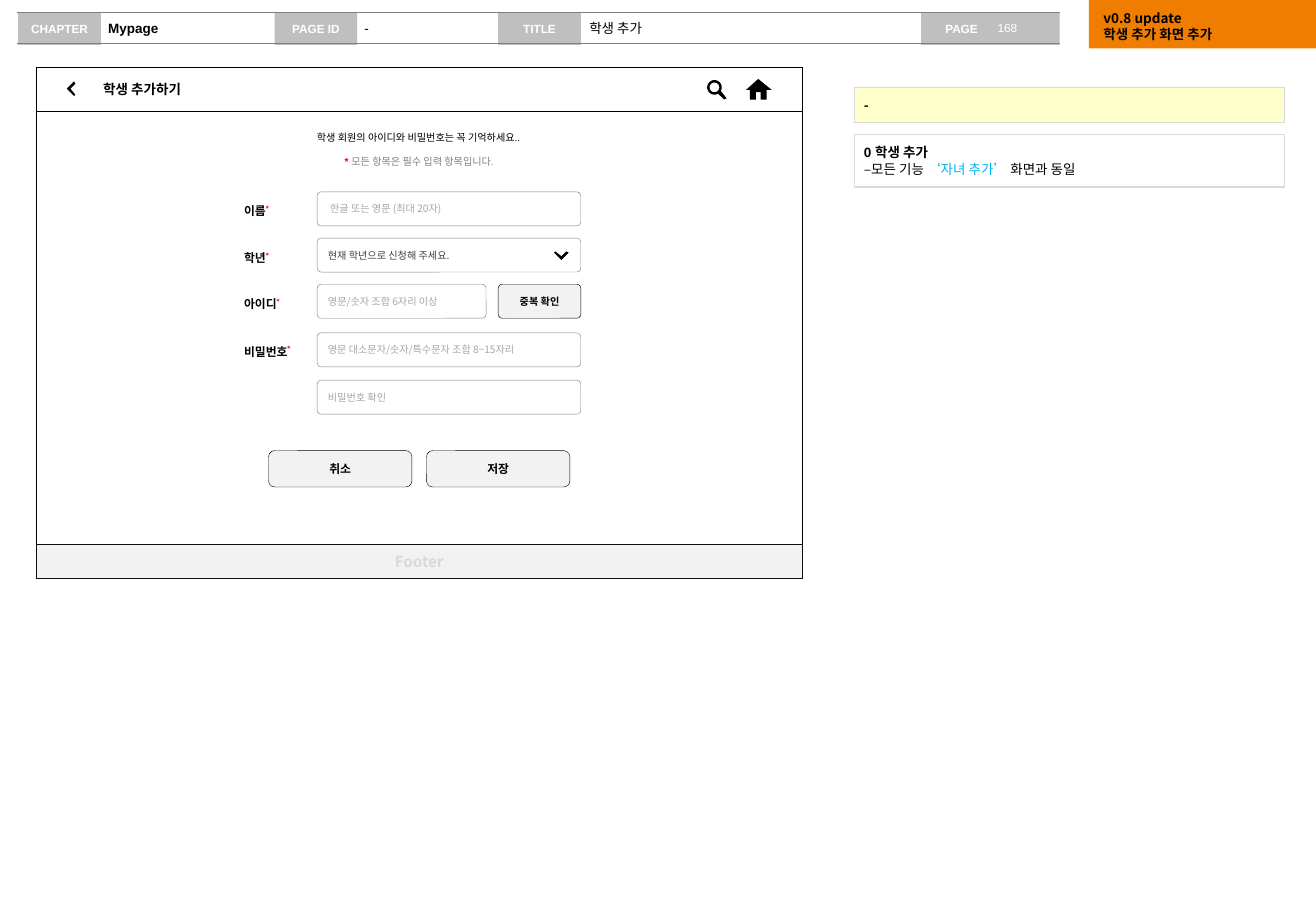
from math import cos, radians, sin

from lxml.etree import SubElement
from pptx import Presentation
from pptx.dml.color import RGBColor
from pptx.enum.shapes import MSO_CONNECTOR, MSO_SHAPE
from pptx.enum.text import MSO_ANCHOR, PP_ALIGN
from pptx.oxml.ns import qn
from pptx.util import Inches, Pt

KOREAN = "Noto Sans CJK KR"
LATIN = "Arial"
BLACK, WHITE, RED = "000000", "FFFFFF", "FF0000"
GREY, PALE_GREY, BUTTON_GREY, HINT_GREY = "808080", "D9D9D9", "F2F2F2", "A6A6A6"
TAG_GREY = "BFBFBF"
CENTER = PP_ALIGN.CENTER
FIELD_LEFT, FIELD_WIDTH, FIELD_HEIGHT = 2.61, 2.17, 0.28
FIELD_INSETS = (0.08, 0.05, 0.1, 0.05)
NOTE_INSETS = (0.08,) * 4
HEADER_INSETS = (0.06, 0.05, 0, 0.05)
NO_INSETS = (0,) * 4


def color(value):
    return RGBColor.from_string(value)


def span(text, size, hue=BLACK, bold=False, font=KOREAN, raised=False):
    """Describe one run of text."""
    return text, size, hue, bold, font, raised


def write(shape, paragraphs, insets=(0.1, 0.05, 0.1, 0.05), align=PP_ALIGN.LEFT,
          anchor=MSO_ANCHOR.MIDDLE, wrap=True):
    """Fill a shape with paragraphs, each a list of spans."""
    frame = shape.text_frame
    frame.word_wrap = wrap
    frame.vertical_anchor = anchor
    (frame.margin_left, frame.margin_top,
     frame.margin_right, frame.margin_bottom) = map(Inches, insets)
    for index, spans in enumerate(paragraphs):
        para = frame.add_paragraph() if index else frame.paragraphs[0]
        para.alignment = align
        for text, size, hue, bold, font, raised in spans:
            run = para.add_run()
            run.text = text
            run.font.size = Pt(size)
            run.font.bold = bold
            run.font.name = font
            run.font.color.rgb = color(hue)
            properties = run._r.get_or_add_rPr()
            SubElement(properties, qn("a:ea")).set("typeface", KOREAN)
            if raised:
                properties.set("baseline", "30000")


def paint(shape, fill=None, line=None, width=0.25):
    shape.shadow.inherit = False
    if fill:
        shape.fill.solid()
        shape.fill.fore_color.rgb = color(fill)
    else:
        shape.fill.background()
    if line:
        shape.line.color.rgb = color(line)
        shape.line.width = Pt(width)
    else:
        shape.line.fill.background()


def add_box(page, place, fill=None, line=None, width=0.25, corner=None):
    """Add a rectangle, rounded when a corner ratio is given."""
    kind = MSO_SHAPE.RECTANGLE if corner is None else MSO_SHAPE.ROUNDED_RECTANGLE
    box = page.shapes.add_shape(kind, *map(Inches, place))
    if corner is not None:
        box.adjustments[0] = corner
    paint(box, fill, line, width)
    return box


def add_text(page, place, spans, **layout):
    write(page.shapes.add_textbox(*map(Inches, place)), [spans], **layout)


def add_icon(page, *outlines):
    """Draw one black shape from closed outlines; later ones cut holes."""
    contours = [[(Inches(x), Inches(y)) for x, y in outline] for outline in outlines]
    builder = page.shapes.build_freeform(*contours[0][0])
    builder.add_line_segments(contours[0][1:])
    for contour in contours[1:]:
        builder.move_to(*contour[0])
        builder.add_line_segments(contour[1:])
    paint(builder.convert_to_shape(), BLACK)


def arc(x, y, radius, start, end):
    return [(x + radius * cos(radians(angle)), y + radius * sin(radians(angle)))
            for angle in range(start, end + 1, 10)]


def add_rule(page, y):
    rule = page.shapes.add_connector(
        MSO_CONNECTOR.STRAIGHT, Inches(0.14), Inches(y), Inches(8.72), Inches(y))
    rule.line.color.rgb = color("7F7F7F")
    rule.line.width = Pt(0.75)
    SubElement(rule._element.spPr, qn("a:effectLst"))


def add_field(page, top, hint, hue=HINT_GREY, width=FIELD_WIDTH, insets=FIELD_INSETS):
    field = add_box(page, (FIELD_LEFT, top, width, FIELD_HEIGHT), WHITE, GREY, corner=0.12)
    write(field, [[span(hint, 6, hue)]], insets)


def add_label(page, top, name):
    add_text(page, (2.01, top, 0.72, 0.12),
             [span(name, 7, bold=True, font=LATIN),
              span("*", 8, RED, True, LATIN, raised=True)],
             insets=NO_INSETS, anchor=MSO_ANCHOR.TOP)


def add_button(page, place, caption, size, corner):
    button = add_box(page, place, BUTTON_GREY, BLACK, corner=corner)
    write(button, [[span(caption, size, bold=True)]], align=CENTER)


def add_header(page):
    page_tag = add_box(page, (7.58, 0.1, 1.14, 0.27), TAG_GREY)
    write(page_tag, [[span("PAGE", 7, WHITE, True, LATIN)]], (0.2, 0.05, 0.1, 0.05), wrap=False)
    add_text(page, (8.17, 0.12, 0.55, 0.22), [span("168", 7, WHITE, font=LATIN)],
             insets=(0.04, 0.05, 0, 0.05), anchor=MSO_ANCHOR.TOP)
    for left, caption in ((0.15, "CHAPTER"), (2.26, "PAGE ID"), (4.1, "TITLE")):
        tag = add_box(page, (left, 0.1, 0.68, 0.27), TAG_GREY)
        write(tag, [[span(caption, 7, WHITE, True, LATIN)]], align=CENTER, wrap=False)
    for y in (0.1, 0.36):
        add_rule(page, y)
    for left, width, value, bold in (
            (0.83, 1.43, "Mypage", True), (2.94, 1.16, "-", False), (4.79, 2.8, "학생 추가", False)):
        add_text(page, (left, 0.11, width, 0.24), [span(value, 8, bold=bold, font=LATIN)],
                 insets=HEADER_INSETS)


def add_notes_column(page):
    update = add_box(page, (8.96, 0, 1.88, 0.4), "EE7D00")
    write(update, [[span("v0.8 update", 8, bold=True)], [span("학생 추가 화면 추가", 8, bold=True)]],
          (0.12, 0.08, 0.1, 0.05), anchor=MSO_ANCHOR.TOP)
    summary = add_box(page, (7.03, 0.72, 3.54, 0.29), "FFFFCC", PALE_GREY, 0.75)
    write(summary, [[span("-", 8, bold=True)]], NOTE_INSETS, anchor=MSO_ANCHOR.TOP)
    details = add_box(page, (7.03, 1.11, 3.54, 0.43), None, PALE_GREY, 0.75)
    write(details, [
        [span("0 ", 8, bold=True, font=LATIN), span("학생 추가", 8, bold=True)],
        [span("–모든 기능 ", 8), span("‘자녀 추가’ ", 8, "00B0F0"), span("화면과 동일", 8)],
    ], NOTE_INSETS, anchor=MSO_ANCHOR.TOP)


def add_screen(page):
    title_bar = add_box(page, (0.3, 0.55, 6.3, 0.37), WHITE, BLACK)
    write(title_bar, [[span("학생 추가하기", 8, bold=True)]], (0.55, 0.05, 0.1, 0.05))
    add_box(page, (0.3, 0.55, 6.3, 4.21), None, BLACK)
    footer = add_box(page, (0.3, 4.48, 6.3, 0.28), BUTTON_GREY, "0D0D0D")
    write(footer, [[span("Footer", 9, PALE_GREY, True)]], align=CENTER)

    back = [(0.62, 0.69), (0.61, 0.67), (0.55, 0.73), (0.61, 0.79), (0.62, 0.78), (0.58, 0.73)]
    home = [(6.22, 0.82), (6.22, 0.76), (6.26, 0.76), (6.26, 0.82), (6.31, 0.82), (6.31, 0.74),
            (6.35, 0.74), (6.24, 0.65), (6.14, 0.74), (6.17, 0.74), (6.17, 0.82)]
    search = [(5.98, 0.81), (5.96, 0.82)] + arc(5.88, 0.72, 0.06, 60, 390)
    for outlines in ([back], [home], [search, arc(5.88, 0.72, 0.04, 0, 350)]):
        add_icon(page, *outlines)


def add_form(page):
    add_text(page, (2.51, 1.08, 1.87, 0.1),
             [span("학생 회원의 아이디와 비밀번호는 꼭 기억하세요..", 6, font=LATIN)],
             insets=NO_INSETS, align=CENTER, wrap=False)
    add_text(page, (2.76, 1.28, 1.38, 0.1),
             [span("* ", 6, RED, True, LATIN),
              span("모든 항목은 필수 입력 항목입니다.", 6, GREY, font=LATIN)],
             insets=NO_INSETS, align=CENTER, wrap=False)

    for top, name in ((1.66, "이름"), (2.05, "학년"), (2.43, "아이디"), (2.82, "비밀번호")):
        add_label(page, top, name)
    add_field(page, 1.58, "한글 또는 영문 (최대 20자)", insets=(0.1, 0.05, 0.1, 0.05))
    add_field(page, 1.96, "현재 학년으로 신청해 주세요.", "404040")
    add_field(page, 2.34, "영문/숫자 조합 6자리 이상", width=1.39)
    add_field(page, 2.74, "영문 대소문자/숫자/특수문자 조합 8~15자리")
    add_field(page, 3.13, "비밀번호 확인")
    add_icon(page, [(4.66, 2.07), (4.62, 2.11), (4.57, 2.07), (4.56, 2.08),
                    (4.62, 2.14), (4.68, 2.08)])

    add_button(page, (4.1, 2.34, 0.68, FIELD_HEIGHT), "중복 확인", 6, 0.12)
    for left, caption in ((2.21, "취소"), (3.51, "저장")):
        add_button(page, (left, 3.71, 1.18, 0.3), caption, 7, 0.17)


def main():
    deck = Presentation()
    deck.slide_width, deck.slide_height = Inches(10.83), Inches(7.5)
    page = deck.slides.add_slide(deck.slide_layouts[6])
    add_header(page)
    add_notes_column(page)
    add_screen(page)
    add_form(page)
    deck.save("out.pptx")


if __name__ == "__main__":
    main()
